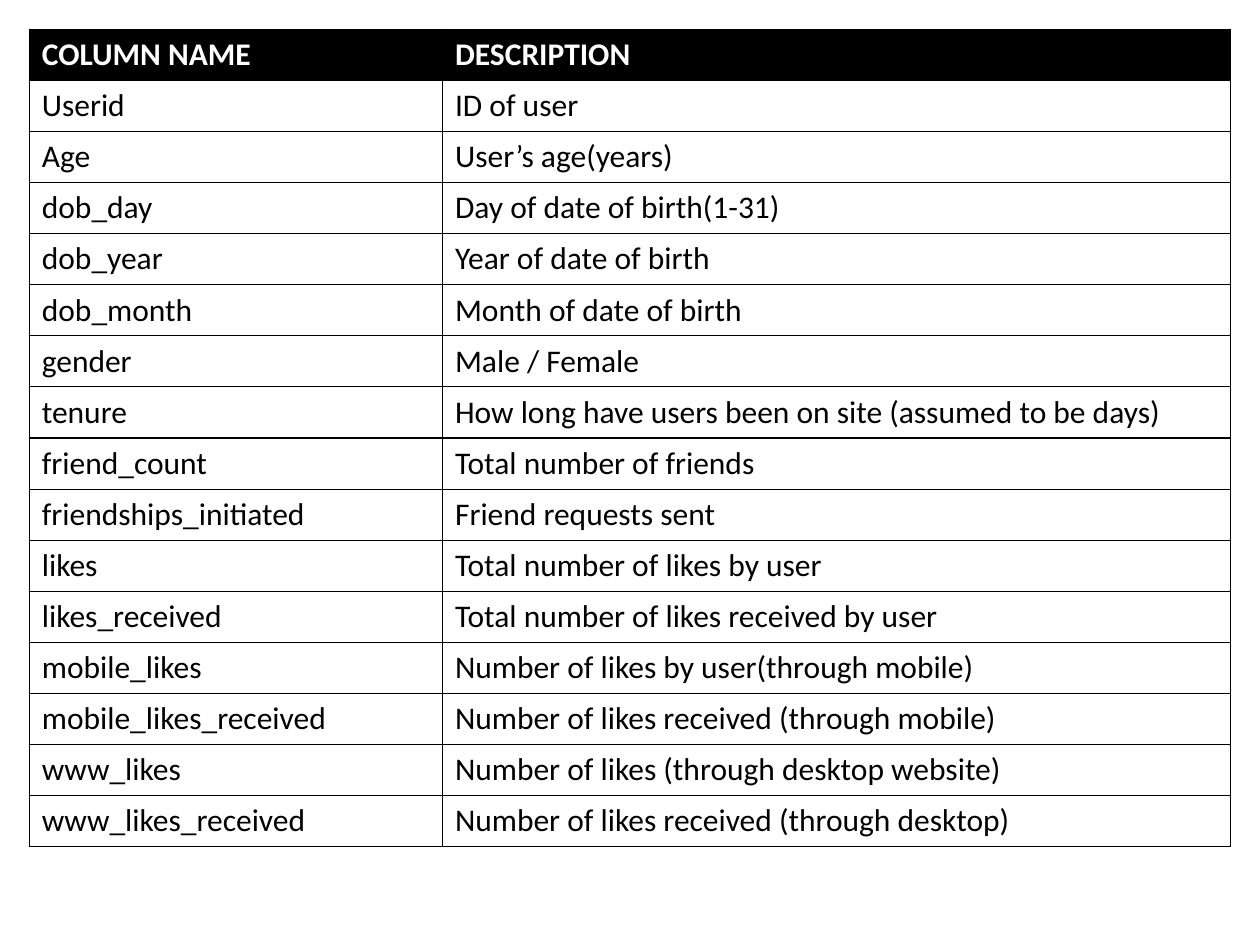
from typing import NamedTuple

from lxml.etree import SubElement
from pptx import Presentation
from pptx.dml.color import RGBColor as RGB
from pptx.enum.text import MSO_ANCHOR as Anchor
from pptx.oxml.ns import qn
from pptx.util import Cm, Pt

COLOURS = {"ink": "000000", "paper": "FFFFFF"}
FONT = "Calibri"
OUTER_LINE, DIVIDER = Pt(0.75), Pt(1)
LEFT, TOP = Cm(0.59), Cm(0.59)
COLUMN_WIDTHS = (Cm(8.33), Cm(15.88))
ROW_HEIGHT = Cm(1.03)


class Field(NamedTuple):
    name: str
    description: str


HEADER = Field("COLUMN NAME", "DESCRIPTION")
FIELDS = [
    Field("Userid", "ID of user"),
    Field("Age", "User’s age(years)"),
    Field("dob_day", "Day of date of birth(1-31)"),
    Field("dob_year", "Year of date of birth"),
    Field("dob_month", "Month of date of birth"),
    Field("gender", "Male / Female"),
    Field("tenure", "How long have users been on site (assumed to be days)"),
    Field("friend_count", "Total number of friends"),
    Field("friendships_initiated", "Friend requests sent"),
    Field("likes", "Total number of likes by user"),
    Field("likes_received", "Total number of likes received by user"),
    Field("mobile_likes", "Number of likes by user(through mobile)"),
    Field("mobile_likes_received", "Number of likes received (through mobile)"),
    Field("www_likes", "Number of likes (through desktop website)"),
    Field("www_likes_received", "Number of likes received (through desktop)"),
]


def draw_borders(cell, column: int) -> None:
    """Outline a cell; the line between the two columns is heavier."""
    properties = cell._tc.get_or_add_tcPr()
    divider_side = "R" if column == 0 else "L"
    for side in "LRTB":
        width = DIVIDER if side == divider_side else OUTER_LINE
        line = SubElement(properties, qn(f"a:ln{side}"), w=str(int(width)))
        fill = SubElement(line, qn("a:solidFill"))
        SubElement(fill, qn("a:srgbClr"), val=COLOURS["ink"])


def fill_cell(cell, column: int, text: str, is_header: bool) -> None:
    """Style one cell and write its text."""
    draw_borders(cell, column)
    cell.fill.solid()
    cell.fill.fore_color.rgb = RGB.from_string(COLOURS["ink" if is_header else "paper"])
    cell.vertical_anchor = Anchor.TOP

    run = cell.text_frame.paragraphs[0].add_run()
    run.text = text
    run.font.name = FONT
    run.font.size = Pt(18)
    run.font.bold = is_header
    run.font.color.rgb = RGB.from_string(COLOURS["paper" if is_header else "ink"])


def add_dictionary(slide, fields: list[Field]) -> None:
    """Draw the data dictionary, header row first."""
    dictionary = slide.shapes.add_table(
        len(fields), len(COLUMN_WIDTHS), LEFT, TOP,
        sum(COLUMN_WIDTHS), ROW_HEIGHT * len(fields),
    ).table
    for column, width in zip(dictionary.columns, COLUMN_WIDTHS):
        column.width = width
    for row, field in enumerate(fields):
        dictionary.rows[row].height = ROW_HEIGHT
        for column, text in enumerate(field):
            fill_cell(dictionary.cell(row, column), column, text, row == 0)


def main() -> None:
    deck = Presentation()
    deck.slide_width, deck.slide_height = Cm(25.4), Cm(19.05)
    # Blank layout
    slide = deck.slides.add_slide(deck.slide_layouts[6])
    add_dictionary(slide, [HEADER, *FIELDS])
    deck.save("out.pptx")


if __name__ == "__main__":
    main()
